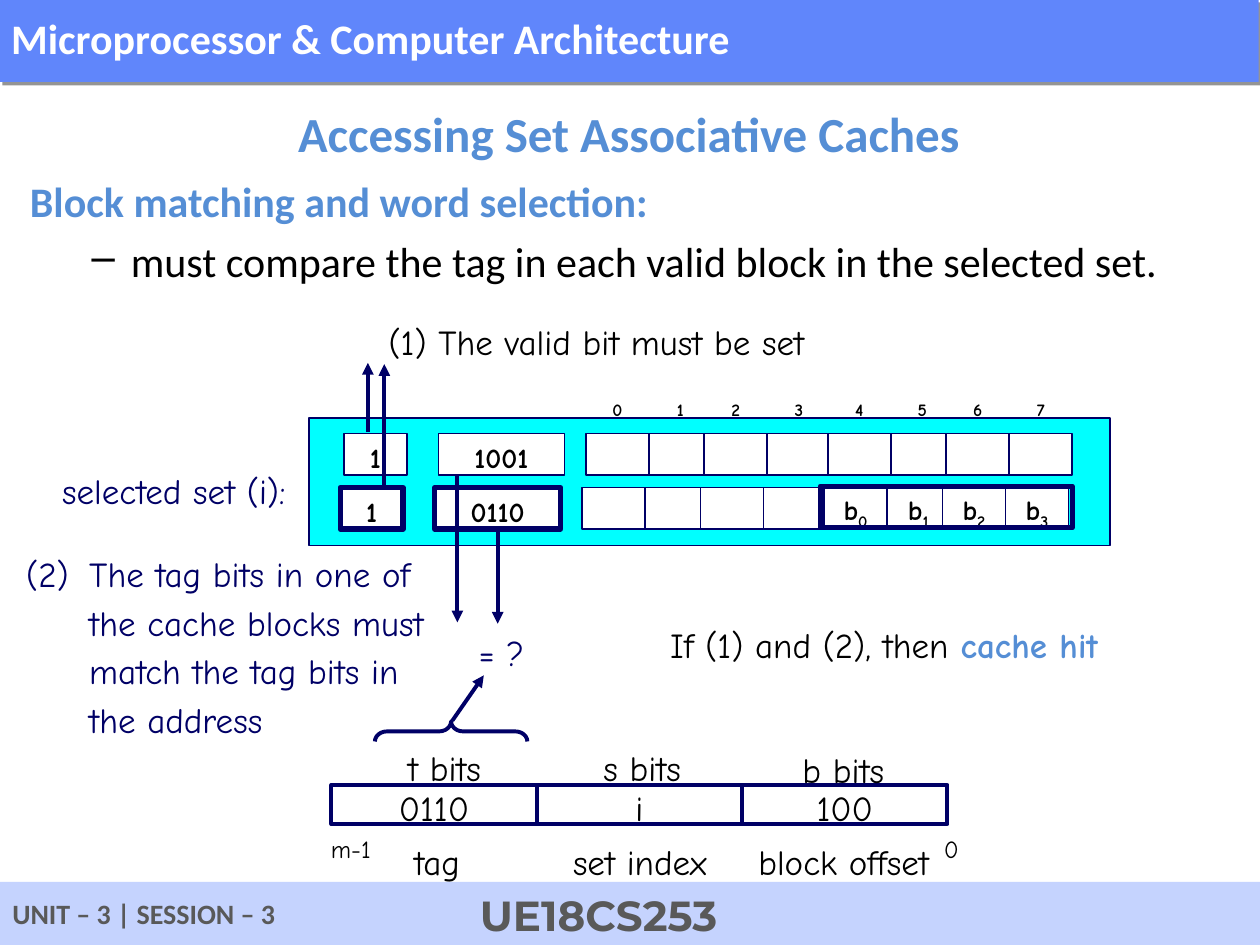
import pptx
import pptx.util
import pptx.dml.color
import pptx.enum.shapes
import pptx.enum.text
import pptx.oxml.ns
from lxml import etree

PX = 9144  # 100 px to the inch
HUES = {"bar": "6086FB", "foot": "C5D3FE", "grey": "595959", "blue": "558ED5",
        "navy": "000066", "cyan": "00FFFF", "white": "FFFFFF", "black": "000000"}
RGB = {name: pptx.dml.color.RGBColor.from_string(hue) for name, hue in HUES.items()}
Pt = pptx.util.Pt
qn = pptx.oxml.ns.qn
KIND = pptx.enum.shapes.MSO_SHAPE
TOP, MID = pptx.enum.text.MSO_ANCHOR.TOP, pptx.enum.text.MSO_ANCHOR.MIDDLE
LEFT, MIDDLE = pptx.enum.text.PP_ALIGN.LEFT, pptx.enum.text.PP_ALIGN.CENTER

deck = pptx.Presentation()
deck.slide_width, deck.slide_height = 1000 * PX, 750 * PX
slide = deck.slides.add_slide(deck.slide_layouts[5])
shapes = slide.shapes


def box(at, fill=None, line=None, width=1, kind=KIND.RECTANGLE):
    """Add a shape, or a text box when it has neither fill nor line."""
    spot = [n * PX for n in at]
    if not (fill or line):
        return shapes.add_textbox(*spot)
    shape = shapes.add_shape(kind, *spot)
    shape.shadow.inherit = False
    if fill:
        shape.fill.solid()
        shape.fill.fore_color.rgb = RGB[fill]
    else:
        shape.fill.background()
    if line:
        shape.line.color.rgb = RGB[line]
        shape.line.width = Pt(width)
    else:
        shape.line.fill.background()
    return shape


def write(shape, *runs, size=20, face="Comic Neue", hue="black", bold=False,
          align=MIDDLE, anchor=MID, wrap=False, more=False, hang=None,
          bullet=None, **gaps):
    """Write one paragraph; each run is a text or (text, font values, baseline)."""
    frame = shape.text_frame
    frame.auto_size = pptx.enum.text.MSO_AUTO_SIZE.NONE
    frame.word_wrap, frame.vertical_anchor = wrap, anchor
    para = frame.add_paragraph() if more else frame.paragraphs[0]
    props = para._p.get_or_add_pPr()
    if hang:
        props.set("marL", str(hang[0] * PX))
        props.set("indent", str(hang[1] * PX))
    if bullet:
        tint = etree.SubElement(props, qn("a:buClr"))
        etree.SubElement(tint, qn("a:srgbClr"), val=HUES["black"])
        etree.SubElement(props, qn("a:buChar"), char=bullet)
    for key, value in {"alignment": align, "line_spacing": 1.16, **gaps}.items():
        setattr(para, key, value)
    for item in runs:
        text, own, base = (item, {}, 0) if isinstance(item, str) else item
        run = para.add_run()
        run.text = text
        form = {"size": Pt(size), "name": face, "bold": bold, **own}
        tone = form.pop("hue", hue)
        for key, value in form.items():
            setattr(run.font, key, value)
        run.font.color.rgb = RGB[tone]
        if base:
            run._r.get_or_add_rPr().set("baseline", str(base))


# Header and footer
bar = box((-1, -1, 1000, 66), "bar")
cast = etree.SubElement(bar._element.spPr.find(qn("a:effectLst")), qn("a:outerShdw"),
                        dist=str(Pt(3)), dir="2700000", algn="ctr", rotWithShape="0")
shade = etree.SubElement(cast, qn("a:srgbClr"), val=HUES["black"])
etree.SubElement(shade, qn("a:alpha"), val="41000")
strip = {"face": "Calibri", "bold": True, "align": LEFT, "line_spacing": 0.93}
write(bar, "Microprocessor & Computer Architecture", size=24, hue="white", wrap=True, **strip)
box((0, 700, 1000, 50), "foot")
strip.update(hue="grey", anchor=TOP)
write(box((0, 709, 327, 36), "foot"), "UNIT – 3 | SESSION – 3", size=16, **strip)
write(box((371, 705, 188, 40), "foot"), "UE18CS253", size=24, **{**strip, "face": "Montserrat"})

# Title and body
title = shapes.title
title.left, title.top, title.width, title.height = [n * PX for n in (-1, 63, 1000, 85)]
write(title, "Accessing Set Associative Caches", size=28, face="Calibri", hue="blue",
      bold=True, wrap=True, line_spacing=1.0)
body = box((13, 134, 927, 130))
plain = {"size": 24, "face": "Calibri", "align": LEFT, "anchor": TOP, "wrap": True,
         "line_spacing": 1.0}
write(body, "Block matching and word selection:", hue="blue", bold=True, hang=(38, -37), **plain)
write(body, "must compare the tag in each valid block in the selected set.", more=True,
      hang=(81, -31), bullet="–", space_before=Pt(6), **plain)

# Selected set: two lines, each with valid bit, tag and eight bytes
box((245, 332, 636, 101), "cyan", "navy")
bytes_x = (462, 512, 556, 606, 654, 704, 748, 798)
cell = {"size": 16, "bold": True}
lines = ((387, 0, 3, "0110", 4), (344, 3, 1, "1001", 8))
tags = []
for top, shift, width, tag, first in lines:
    for left, wide, text in ((270, 50, "1"), (345, 100, tag)):
        part = box((left + shift, top, wide, 33), "white", "navy", width)
        write(part, text, **cell)
    tags.append(part)
    for i, left in enumerate(bytes_x):
        part = box((left + shift, top, 50, 33), "white", "navy")
        if i >= first:
            write(part, "b", (str(i - first), {}, -25000), **cell)
    if first < 8:
        box((651, 386, 200, 33), None, "navy", 3)
for i, left in enumerate(bytes_x):
    write(box((left + 3, 307, 50, 33)), str(i), size=10, bold=True)

# Address fields
fields = (("0110", "t bits", (314, 582, 78, 48), "tag", (319, 657, 57, 48)),
          ("i", "s bits", (469, 582, 81, 48), "set index", (445, 657, 126, 48)),
          ("100", "b bits", (627, 584, 85, 48), "block offset", (592, 657, 155, 48)))
for i, (value, bits, above, name, below) in enumerate(fields):
    write(box((263 + i * 163, 623, 163, 31), None, "navy", 2.25), value)
    for text, at in ((bits, above), (name, below)):
        write(box(at), text, align=LEFT, anchor=TOP)
for text, at in (("m-1", (253, 653, 51, 37)), ("0", (739, 653, 32, 37))):
    write(box(at), text, size=14)

# Notes on the two checks
write(box((39, 362, 198, 49)), "selected set (i):", hue="navy")
write(box((298, 244, 351, 49)), "(1) The valid bit must be set")
write(box((370, 491, 56, 49)), "= ?", hue="navy")
note = {"align": LEFT, "wrap": True, "hang": (50, -50)}
write(box((11, 428, 341, 165)), "(2)\tThe tag bits in one of the cache blocks must "
      "match the tag bits in the address", hue="navy", **note)
write(box((522, 484, 434, 49)), "If (1) and (2), then ",
      ("cache hit", {"hue": "blue", "bold": True}, 0), **note)

# Brace over the tag field, and arrows
brace = box((350, 520, 16, 121), None, "navy", 2.25, KIND.LEFT_BRACE)
brace.rotation = 90
brace.adjustments[0] = 0.6
arrows = ((292, 343, 292, 288, None), (305, 387, 305, 289, None),
          (395, 420, 395, 495, tags[0]), (359, 572, 384, 536, None),
          (363, 377, 363, 494, None))
for *ends, start in arrows:
    arrow = shapes.add_connector(pptx.enum.shapes.MSO_CONNECTOR.STRAIGHT,
                                 *[n * PX for n in ends])
    if start:
        arrow.begin_connect(start, 2)
    arrow.line.color.rgb = RGB["navy"]
    arrow.line.width = Pt(2.25)
    etree.SubElement(arrow.line._get_or_add_ln(), qn("a:tailEnd"), type="triangle")
    etree.SubElement(arrow._element.spPr, qn("a:effectLst"))

deck.save("out.pptx")
